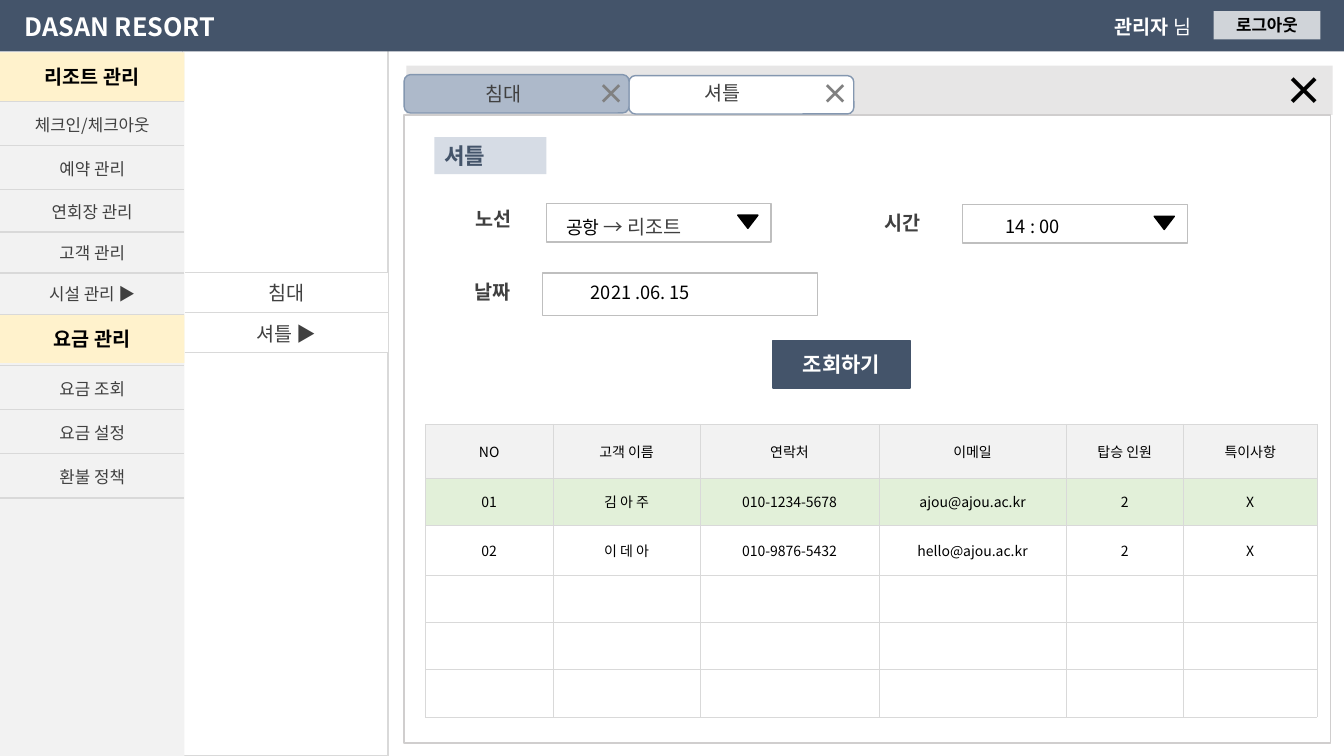
from dataclasses import dataclass

from lxml import etree
from pptx import Presentation
from pptx.dml.color import RGBColor
from pptx.enum.shapes import MSO_SHAPE
from pptx.enum.text import MSO_ANCHOR, PP_ALIGN
from pptx.oxml.ns import qn
from pptx.slide import Slide
from pptx.text.text import TextFrame
from pptx.util import Pt

RECTANGLE = MSO_SHAPE.RECTANGLE
ROUNDED = MSO_SHAPE.ROUNDED_RECTANGLE
TRIANGLE = MSO_SHAPE.ISOSCELES_TRIANGLE
LEFT, CENTER = PP_ALIGN.LEFT, PP_ALIGN.CENTER
TOP, MIDDLE = MSO_ANCHOR.TOP, MSO_ANCHOR.MIDDLE

WHITE = RGBColor(0xFF, 0xFF, 0xFF)
BLACK = RGBColor(0, 0, 0)
NAVY = RGBColor(0x44, 0x54, 0x6A)
SLATE = RGBColor(0x84, 0x97, 0xB0)
TAB_BLUE = RGBColor(0xAD, 0xB9, 0xCA)
PALE_BLUE = RGBColor(0xD6, 0xDC, 0xE5)
CREAM = RGBColor(0xFF, 0xF2, 0xCC)
PALE_GREEN = RGBColor(0xE2, 0xF0, 0xD9)
CHARCOAL = RGBColor(0x40, 0x40, 0x40)
GRAY = RGBColor(0x80, 0x80, 0x80)
FIELD_GRAY = RGBColor(0xBF, 0xBF, 0xBF)
FRAME_GRAY = RGBColor(0xD0, 0xCE, 0xCE)
RULE_GRAY = RGBColor(0xD9, 0xD9, 0xD9)
STRIP_GRAY = RGBColor(0xE7, 0xE6, 0xE6)
PANEL_GRAY = RGBColor(0xF2, 0xF2, 0xF2)

FONT = "Noto Sans CJK KR"
SIDEBAR_WIDTH = 131.8


@dataclass
class Span:
    text: str
    size: float
    color: RGBColor
    bold: bool = False


@dataclass
class Block:
    left: float
    top: float
    width: float
    height: float
    fill: RGBColor
    line: RGBColor | None = None
    spans: tuple[Span, ...] = ()
    align: PP_ALIGN = CENTER
    anchor: MSO_ANCHOR = MIDDLE
    outline: MSO_SHAPE = RECTANGLE
    rotation: float = 0
    opacity: int = 100


@dataclass
class Label:
    left: float
    top: float
    width: float
    height: float
    spans: tuple[Span, ...]
    align: PP_ALIGN = LEFT


@dataclass
class Grid:
    left: float
    top: float
    columns: list[float]
    heights: list[float]
    rows: list[list[str]]
    fills: list[RGBColor]
    size: float
    color: RGBColor
    border: float
    sides: str


def write(frame: TextFrame, spans: tuple[Span, ...], align: PP_ALIGN) -> None:
    frame.word_wrap = True
    para = frame.paragraphs[0]
    para.alignment = align
    for span in spans:
        run = para.add_run()
        run.text = span.text
        run.font.size = Pt(span.size)
        run.font.bold = span.bold
        run.font.color.rgb = span.color
        run.font.name = FONT
        etree.SubElement(run.font._element, qn("a:ea"), typeface=FONT)


def draw_block(page: Slide, block: Block) -> None:
    shape = page.shapes.add_shape(
        block.outline, Pt(block.left), Pt(block.top), Pt(block.width), Pt(block.height))
    shape.shadow.inherit = False
    shape.rotation = block.rotation
    shape.fill.solid()
    shape.fill.fore_color.rgb = block.fill
    if block.opacity < 100:
        color = shape._element.spPr.find(f"{qn('a:solidFill')}/{qn('a:srgbClr')}")
        etree.SubElement(color, qn("a:alpha"), val=str(block.opacity * 1000))
    if block.line is None:
        shape.line.fill.background()
    else:
        shape.line.color.rgb = block.line
        shape.line.width = Pt(1)
    if block.spans:
        shape.text_frame.vertical_anchor = block.anchor
        write(shape.text_frame, block.spans, block.align)


def draw_label(page: Slide, label: Label) -> None:
    box = page.shapes.add_textbox(
        Pt(label.left), Pt(label.top), Pt(label.width), Pt(label.height))
    write(box.text_frame, label.spans, label.align)


def draw_grid(page: Slide, grid: Grid) -> None:
    table = page.shapes.add_table(
        len(grid.heights), len(grid.columns), Pt(grid.left), Pt(grid.top),
        Pt(sum(grid.columns)), Pt(sum(grid.heights))).table
    table.first_row = table.horz_banding = False
    for column, width in zip(table.columns, grid.columns):
        column.width = Pt(width)
    for row, height, texts, fill in zip(table.rows, grid.heights, grid.rows, grid.fills):
        row.height = Pt(height)
        for cell, text in zip(row.cells, texts):
            cell.vertical_anchor = MIDDLE
            spans = (Span(text, grid.size, grid.color),) if text else ()
            write(cell.text_frame, spans, CENTER)
            properties = cell._tc.get_or_add_tcPr()
            for side in "LRTB":
                edge = etree.SubElement(properties, qn(f"a:ln{side}"), w=str(Pt(grid.border)))
                if side in grid.sides:
                    paint = etree.SubElement(edge, qn("a:solidFill"))
                    etree.SubElement(paint, qn("a:srgbClr"), val=str(RULE_GRAY))
                else:
                    etree.SubElement(edge, qn("a:noFill"))
            cell.fill.solid()
            cell.fill.fore_color.rgb = fill


def draw_dropdown(page: Slide, left: float, top: float) -> None:
    draw_block(page, Block(left, top, 160.6, 27.4, WHITE, FIELD_GRAY))
    draw_block(page, Block(left + 136.8, top + 8.3, 14.4, 9.4, BLACK, BLACK,
                           outline=TRIANGLE, rotation=180))


def draw_tab(page: Slide, left: float, top: float, fill: RGBColor, title: Label,
             close_left: float) -> None:
    draw_block(page, Block(left, top, 160.6, 27.4, fill, SLATE, outline=ROUNDED))
    draw_label(page, Label(close_left, 51.1, 34.6, 31.7, (Span("×", 20, GRAY, True),)))
    draw_label(page, title)


def field_name(text: str) -> tuple[Span, ...]:
    return (Span(text, 14, CHARCOAL, True),)


def menu(left: float, top: float, width: float, heights: list[float], entries: list[str],
         fill: RGBColor, size: float) -> Grid:
    return Grid(left, top, [width], heights, [[entry] for entry in entries],
                [fill] * len(entries), size, CHARCOAL, 1, "TB")


BLOCKS = [
    Block(290.2, 46.8, 661.7, 35.3, STRIP_GRAY),
    Block(130.3, 36, 146.9, 504, WHITE, RULE_GRAY),
    Block(0, 37.4, SIDEBAR_WIDTH, 502.6, PANEL_GRAY),
    Block(0, 37.4, SIDEBAR_WIDTH, 34.6, CREAM, spans=(Span("리조트 관리", 14, BLACK, True),)),
    Block(0, 224.6, SIDEBAR_WIDTH, 34.6, CREAM, spans=(Span("요금 관리", 14, BLACK, True),)),
    Block(0, 0, 960, 36.7, NAVY),
    Block(866.9, 7.9, 76.3, 20.2, WHITE, spans=(Span("로그아웃", 12, BLACK, True),), opacity=75),
    Block(288.7, 82.1, 661.7, 448.6, WHITE, FRAME_GRAY),
    Block(387.4, 195.1, 196.6, 30.2, WHITE, FIELD_GRAY),
    Block(552.2, 243.4, 97.9, 33.8, NAVY, NAVY, (Span("조회하기", 15, WHITE, True),)),
    Block(310.3, 97.9, 79.9, 26.6, PALE_BLUE, spans=(Span("셔틀", 16, NAVY, True),),
          align=LEFT, anchor=TOP),
]
LABELS = [
    Label(0, 4.3, 171.4, 28.8, (Span("DASAN RESORT", 18, WHITE, True),), CENTER),
    Label(789.1, 7.2, 86.4, 24.5, (Span("관리자", 14, WHITE, True), Span(" 님", 14, WHITE))),
    Label(910.1, 43.9, 99.4, 41, (Span("×", 28, BLACK, True),)),
    Label(332.6, 144, 115.2, 24.5, field_name("노선")),
    Label(294.5, 196.6, 115.2, 24.5, field_name("날짜"), CENTER),
    Label(625, 146.9, 115.2, 24.5, field_name("시간")),
    Label(415, 197.3, 128, 23, (Span("2021 .06. 15", 13, BLACK),)),
    Label(397.4, 149.8, 131, 24.5, (Span("공항 ", 13, BLACK), Span("→ 리조트", 14, CHARCOAL))),
    Label(711.4, 150.5, 131, 23, (Span("14 : 00", 13, BLACK),)),
]
GRIDS = [
    menu(0, 72.7, SIDEBAR_WIDTH, [31.4, 31.4, 30.2, 29.4, 29.4],
         ["체크인/체크아웃", "예약 관리", "연회장 관리", "고객 관리", "시설 관리 ▶"], PANEL_GRAY, 12),
    menu(0, 261.2, SIDEBAR_WIDTH, [31.5] * 3, ["요금 조회", "요금 설정", "환불 정책"],
         PANEL_GRAY, 12),
    menu(131.8, 194.4, 145.4, [28.8] * 2, ["침대", "셔틀 ▶"], WHITE, 14),
    Grid(303.8, 302.9, [91.2, 105.1, 127.7, 133.9, 83.5, 95.8],
         [38.6, 33.8, 35.3, 33.8, 33.8, 33.8],
         [["NO", "고객 이름", "연락처", "이메일", "탑승 인원", "특이사항"],
          ["01", "김 아 주", "010-1234-5678", "ajou@ajou.ac.kr", "2", "X"],
          ["02", "이 데 아", "010-9876-5432", "hello@ajou.ac.kr", "2", "X"],
          *[[""] * 6 for _ in range(3)]],
         [PANEL_GRAY, PALE_GREEN] + [WHITE] * 4, 10, BLACK, 0.25, "LRTB"),
]


def main() -> None:
    deck = Presentation()
    deck.slide_width, deck.slide_height = Pt(960), Pt(540)
    page = deck.slides.add_slide(deck.slide_layouts[6])
    for block in BLOCKS:
        draw_block(page, block)
    draw_dropdown(page, 390.2, 145.4)
    draw_dropdown(page, 687.6, 146.2)
    for label in LABELS:
        draw_label(page, label)
    for grid in GRIDS:
        draw_grid(page, grid)
    shuttle = Label(496.1, 54, 123.8, 24.5, (Span("셔틀", 14, CHARCOAL),))
    bed = Label(339.8, 54.7, 123.8, 24.5, (Span("침대", 14, CHARCOAL),))
    draw_tab(page, 449.3, 54, WHITE, shuttle, 579.6)
    draw_tab(page, 288.7, 53.3, TAB_BLUE, bed, 419.8)
    deck.save("out.pptx")


if __name__ == "__main__":
    main()
